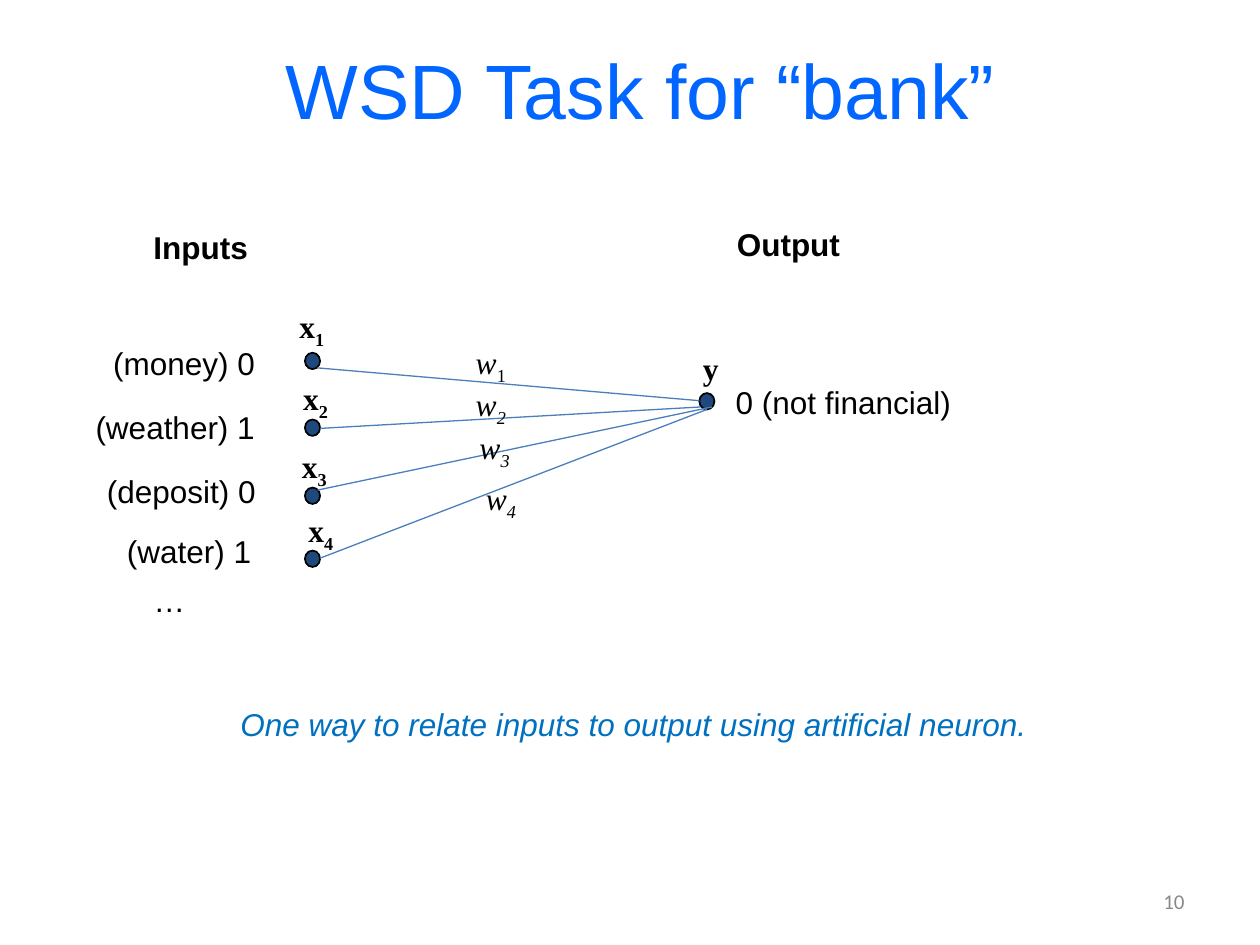
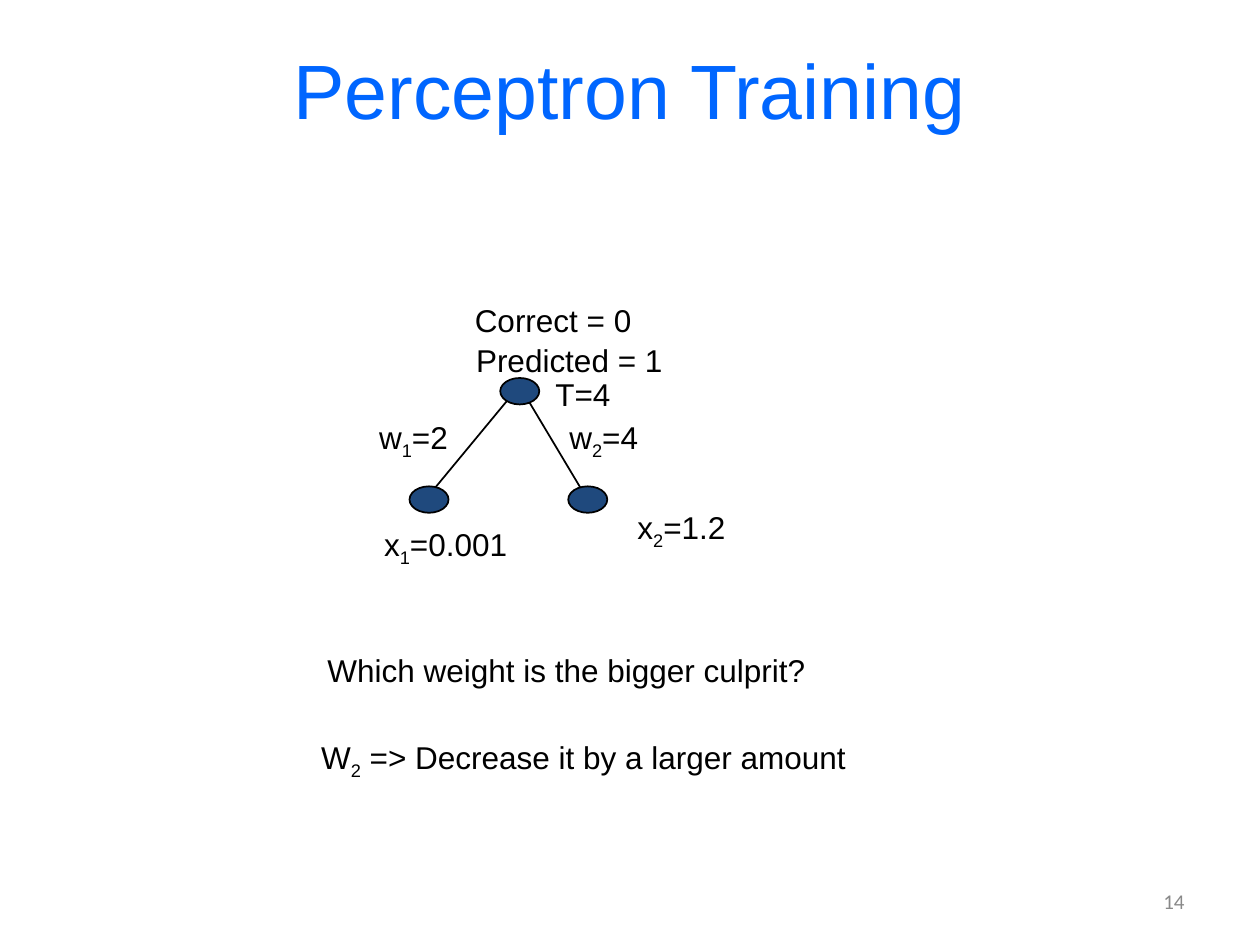
from dataclasses import dataclass

from pptx import Presentation
from pptx import slide as s
from pptx import util as u
from pptx.dml.color import RGBColor
from pptx.enum import shapes, text
from pptx.oxml.ns import qn
from pptx.text.text import _Paragraph as Paragraph
from lxml import etree


@dataclass(frozen=True)
class Theme:
    title_color: RGBColor = RGBColor(0x00, 0x66, 0xFF)
    ink: RGBColor = RGBColor(0x00, 0x00, 0x00)
    note: RGBColor = RGBColor(0x00, 0x70, 0xC0)
    number: RGBColor = RGBColor(0x89, 0x89, 0x89)
    node: RGBColor = RGBColor(0x1F, 0x49, 0x7D)
    weight_line: RGBColor = RGBColor(0x4B, 0x7E, 0xBC)
    title_size: int = 44
    body_size: int = 18
    number_size: int = 12
    sans: str = "Arial"
    symbol: str = "Times New Roman"
    footer: str = "Calibri"


THEME = Theme()
Point = tuple[float, float]


@dataclass(frozen=True)
class Label:
    """One line of text; the character after "_" is a subscript."""
    words: str
    left: float
    top: float
    width: float
    height: float = 0.4
    font: str = THEME.sans
    size: int = THEME.body_size
    color: RGBColor = THEME.ink
    bold: bool = False
    italic: bool = False
    upright_subscript: bool = False
    align: text.PP_ALIGN = text.PP_ALIGN.LEFT
    anchor: text.MSO_ANCHOR = text.MSO_ANCHOR.TOP
    wrap: bool = False


@dataclass(frozen=True)
class InputRow:
    """One input of the neuron, with its node, symbols and weight line."""
    word: Label
    node_top: float
    x_place: Point
    weight_place: Point
    line_start: Point
    line_end: Point


# Shared drawing functions
def style_paragraph(paragraph: Paragraph, font: str, size: int, color: RGBColor,
                    align: text.PP_ALIGN) -> None:
    paragraph.alignment = align
    paragraph.font.name = font
    paragraph.font.size = u.Pt(size)
    paragraph.font.color.rgb = color


def add_runs(paragraph: Paragraph, label: Label) -> None:
    first, *rest = label.words.split("_")
    paragraph.add_run().text = first
    for piece in rest:
        subscript = paragraph.add_run()
        subscript.text = piece[0]
        subscript._r.get_or_add_rPr().set("baseline", "-25000")
        if label.upright_subscript:
            subscript.font.italic = False
        if piece[1:]:
            paragraph.add_run().text = piece[1:]


def add_label(slide: s.Slide, label: Label) -> None:
    box = slide.shapes.add_textbox(u.Inches(label.left), u.Inches(label.top),
                                   u.Inches(label.width), u.Inches(label.height))
    frame = box.text_frame
    frame.word_wrap = label.wrap
    frame.auto_size = text.MSO_AUTO_SIZE.SHAPE_TO_FIT_TEXT
    frame.vertical_anchor = label.anchor
    paragraph = frame.paragraphs[0]
    style_paragraph(paragraph, label.font, label.size, label.color, label.align)
    paragraph.font.bold = label.bold
    paragraph.font.italic = label.italic
    add_runs(paragraph, label)


def add_symbol(slide: s.Slide, words: str, place: Point, width: float,
               bold: bool = False, italic: bool = False,
               upright_subscript: bool = False) -> None:
    add_label(slide, Label(words, *place, width, 0.41, font=THEME.symbol, bold=bold,
                           italic=italic, upright_subscript=upright_subscript,
                           align=text.PP_ALIGN.CENTER))


def add_node(slide: s.Slide, place: Point, size: Point) -> None:
    node = slide.shapes.add_shape(shapes.MSO_SHAPE.OVAL,
                                  *(u.Inches(length) for length in place + size))
    node.shadow.inherit = False
    node.fill.solid()
    node.fill.fore_color.rgb = THEME.node
    node.line.color.rgb = THEME.ink
    node.line.width = u.Pt(1)


def add_line(slide: s.Slide, start: Point, end: Point, color: RGBColor,
             width: float) -> None:
    line = slide.shapes.add_connector(shapes.MSO_CONNECTOR.STRAIGHT,
                                      *(u.Inches(length) for length in start + end))
    line.line.color.rgb = color
    line.line.width = u.Pt(width)
    etree.SubElement(line._element.spPr, qn("a:effectLst"))


def add_titled_slide(presentation: Presentation, title: str, number: str,
                     left: float = 0.5, width: float = 9) -> s.Slide:
    slide = presentation.slides.add_slide(presentation.slide_layouts[5])
    shape = slide.shapes.title
    shape.left, shape.top = u.Inches(left), u.Inches(0.08)
    shape.width, shape.height = u.Inches(width), u.Inches(1.25)
    frame = shape.text_frame
    frame.text = title
    frame.auto_size = text.MSO_AUTO_SIZE.NONE
    frame.vertical_anchor = text.MSO_ANCHOR.MIDDLE
    style_paragraph(frame.paragraphs[0], THEME.sans, THEME.title_size,
                    THEME.title_color, text.PP_ALIGN.CENTER)
    add_label(slide, Label(number, 7.17, 6.95, 2.33, font=THEME.footer,
                           size=THEME.number_size, color=THEME.number,
                           align=text.PP_ALIGN.RIGHT, anchor=text.MSO_ANCHOR.MIDDLE,
                           wrap=True))
    return slide


# Slide with the single neuron for "bank"
def build_neuron_slide(presentation: Presentation) -> None:
    slide = add_titled_slide(presentation, "WSD Task for “bank”", "10", -0.08, 10.33)
    rows = [
        InputRow(Label("(money) 0", 0.8, 2.68, 1.34), 2.8, (2.27, 2.39),
                 (3.67, 2.67), (2.52, 2.92), (5.55, 3.18)),
        InputRow(Label("(weather) 1", 0.66, 3.19, 1.48), 3.33, (2.3, 2.96),
                 (3.67, 3.01), (2.54, 3.4), (5.56, 3.23)),
        InputRow(Label("(deposit) 0", 0.75, 3.7, 1.39), 3.87, (2.29, 3.5),
                 (3.7, 3.35), (2.52, 3.89), (5.65, 3.23)),
        InputRow(Label("(water) 1", 0.91, 4.17, 1.2), 4.37, (2.34, 4.01),
                 (3.75, 3.75), (2.54, 4.43), (5.61, 3.25)),
    ]
    node_size = (0.12, 0.13)

    # Headings, output value and closing remark
    for label in (
        Label("Inputs", 1.12, 1.76, 0.96, bold=True),
        Label("Output", 5.75, 1.74, 1.03, bold=True),
        Label("…", 1.12, 4.56, 0.45),
        Label("0 (not financial)", 5.74, 2.99, 1.93),
        Label("One way to relate inputs to output using artificial neuron.",
              1.81, 5.55, 6.5, color=THEME.note, italic=True),
    ):
        add_label(slide, label)

    # Output node, then each input with its weight
    add_node(slide, (5.55, 3.12), node_size)
    for index, row in enumerate(rows, start=1):
        add_label(slide, row.word)
        add_node(slide, (2.42, row.node_top), node_size)
        add_line(slide, row.line_start, row.line_end, THEME.weight_line, 0.75)
        add_symbol(slide, f"x_{index}", row.x_place, 0.41, bold=True)
        add_symbol(slide, f"w_{index}", row.weight_place, 0.45, italic=True,
                   upright_subscript=index == 1)
    add_symbol(slide, "y", (5.48, 2.72), 0.32, bold=True)


# Slide with the two-input perceptron
def build_training_slide(presentation: Presentation) -> None:
    slide = add_titled_slide(presentation, "Perceptron Training", "14")

    # Edges lie behind the nodes
    for start, end in (((4.1, 3.09), (3.38, 3.96)), ((4.14, 3.09), (4.66, 3.96))):
        add_line(slide, start, end, THEME.ink, 1)
    for place in ((3.25, 3.86), (4.51, 3.86), (3.97, 3.0)):
        add_node(slide, place, (0.31, 0.21))

    # Values around the network, then the question and its answer
    for label in (
        Label("x_1=0.001", 2.95, 4.12, 1.2),
        Label("x_2=1.2", 4.96, 3.98, 0.92),
        Label("w_1=2", 2.91, 3.27, 0.99, wrap=True),
        Label("w_2=4", 4.42, 3.27, 0.76, wrap=True),
        Label("T=4", 4.31, 2.93, 0.64),
        Label("Correct = 0", 3.67, 2.34, 1.46),
        Label("Predicted = 1", 3.68, 2.66, 1.7),
        Label("Which weight is the bigger culprit?", 2.5, 5.12, 4.03),
        Label("W_2 => Decrease it by a larger amount", 2.45, 5.81, 4.42),
    ):
        add_label(slide, label)


def main() -> None:
    presentation = Presentation()
    presentation.slide_width, presentation.slide_height = u.Inches(10), u.Inches(7.5)
    build_neuron_slide(presentation)
    build_training_slide(presentation)
    presentation.save("out.pptx")


main()
